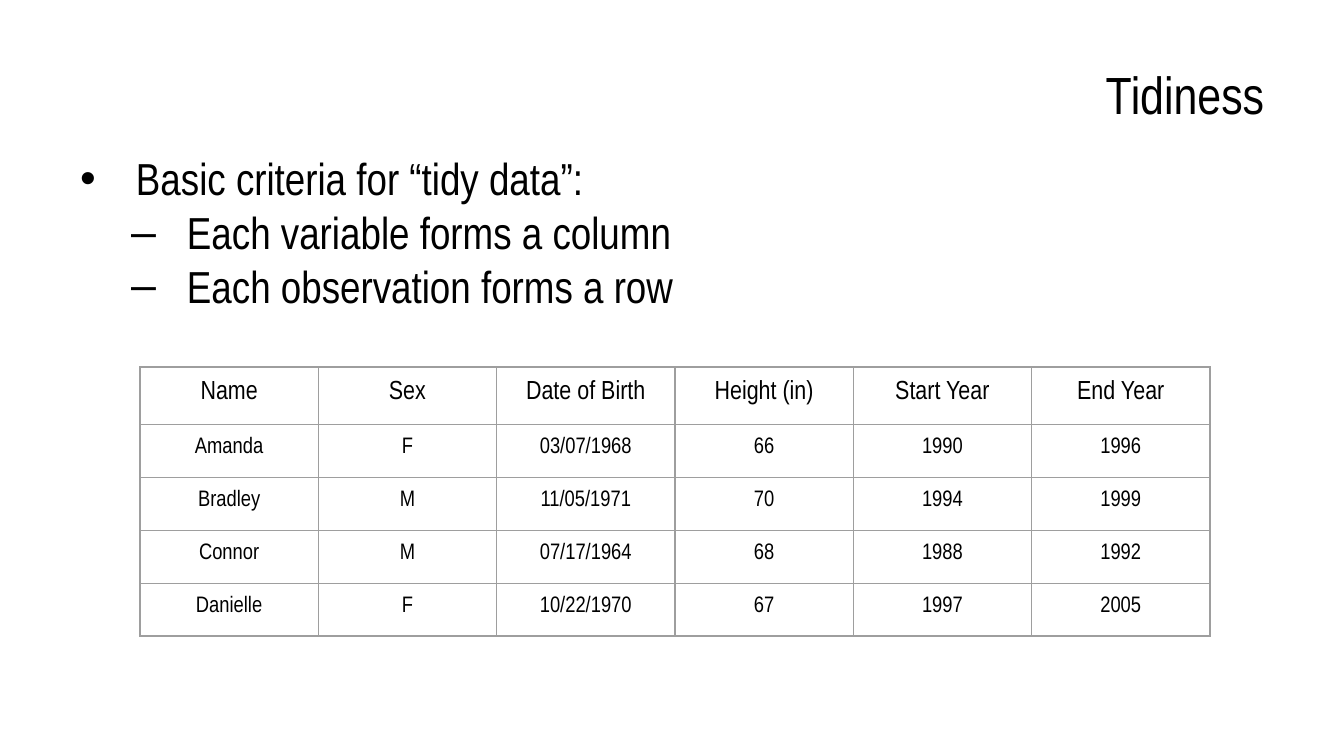
"""Build a slide on tidy data with its criteria and a sample table."""
from lxml.etree import SubElement
from pptx import Presentation
from pptx.dml.color import RGBColor
from pptx.enum.text import MSO_ANCHOR, PP_ALIGN
from pptx.oxml import parse_xml
from pptx.oxml.ns import nsdecls, qn
from pptx.util import Pt

TITLE = "Tidiness"
POINTS = [
    (0, "•", "Basic criteria for “tidy data”:"),
    (1, "–", "Each variable forms a column"),
    (1, "–", "Each observation forms a row"),
]
ROWS = [
    ("Name", "Sex", "Date of Birth", "Height (in)", "Start Year", "End Year"),
    ("Amanda", "F", "03/07/1968", "66", "1990", "1996"),
    ("Bradley", "M", "11/05/1971", "70", "1994", "1999"),
    ("Connor", "M", "07/17/1964", "68", "1988", "1992"),
    ("Danielle", "F", "10/22/1970", "67", "1997", "2005"),
]
HEIGHTS = [56, 50, 53, 53, 53]
WIDTH = 1070
FONT = "Arial Narrow"
BLACK = RGBColor(0, 0, 0)
GRAY = RGBColor(0x9E, 0x9E, 0x9E)
SCALE = 914400 / 134.4


def px(n):
    return round(n * SCALE)


def place(shape, left, top, width, height):
    shape.left, shape.top = px(left), px(top)
    shape.width, shape.height = px(width), px(height)


def pad(item):
    item.margin_left = item.margin_right = px(13)
    item.margin_top = item.margin_bottom = px(13)


def write(para, text, size=12, align=PP_ALIGN.LEFT, bullet=None, level=0):
    para.level = level
    para.alignment = align
    if bullet:
        props = para._p.get_or_add_pPr()
        props.set("marL", str(px(67 + 51 * level)))
        props.set("indent", str(px(-56)))
        color = SubElement(props, qn("a:buClr"))
        SubElement(color, qn("a:srgbClr"), val=str(BLACK))
        SubElement(props, qn("a:buFont"), typeface="Arial")
        SubElement(props, qn("a:buChar"), char=bullet)
    run = para.add_run()
    run.text = text
    run.font.size = Pt(size)
    run.font.name = FONT
    run.font.color.rgb = BLACK


def frame(cell):
    cell.fill.background()
    props = cell._tc.get_or_add_tcPr()
    for spot, side in enumerate("LRTB"):
        props.insert(spot, parse_xml(
            f'<a:ln{side} {nsdecls("a")} w="{Pt(0.75)}"><a:solidFill>'
            f'<a:srgbClr val="{GRAY}"/></a:solidFill></a:ln{side}>'))


def main():
    deck = Presentation()
    deck.slide_width, deck.slide_height = px(1344), px(756)
    slide = deck.slides.add_slide(deck.slide_layouts[5])

    title = slide.shapes.title
    place(title, 67, 31, 1210, 126)
    pad(title.text_frame)
    title.text_frame.vertical_anchor = MSO_ANCHOR.MIDDLE
    write(title.text_frame.paragraphs[0], TITLE, size=28, align=PP_ALIGN.RIGHT)

    body = slide.shapes.add_textbox(px(56), px(138), px(780), px(202)).text_frame
    body.word_wrap = True
    pad(body)
    for i, (level, bullet, text) in enumerate(POINTS):
        para = body.add_paragraph() if i else body.paragraphs[0]
        write(para, text, size=24, bullet=bullet, level=level)

    table = slide.shapes.add_table(len(ROWS), len(ROWS[0]), px(140), px(367),
                                   px(WIDTH), px(sum(HEIGHTS))).table
    table.first_row = table.horz_banding = False
    for col in table.columns:
        col.width = px(WIDTH / len(ROWS[0]))
    for r, row in enumerate(ROWS):
        table.rows[r].height = px(HEIGHTS[r])
        for c, text in enumerate(row):
            cell = table.cell(r, c)
            pad(cell)
            frame(cell)
            write(cell.text_frame.paragraphs[0], text,
                  size=12 if r else 14, align=PP_ALIGN.CENTER)

    deck.save("out.pptx")


if __name__ == "__main__":
    main()
